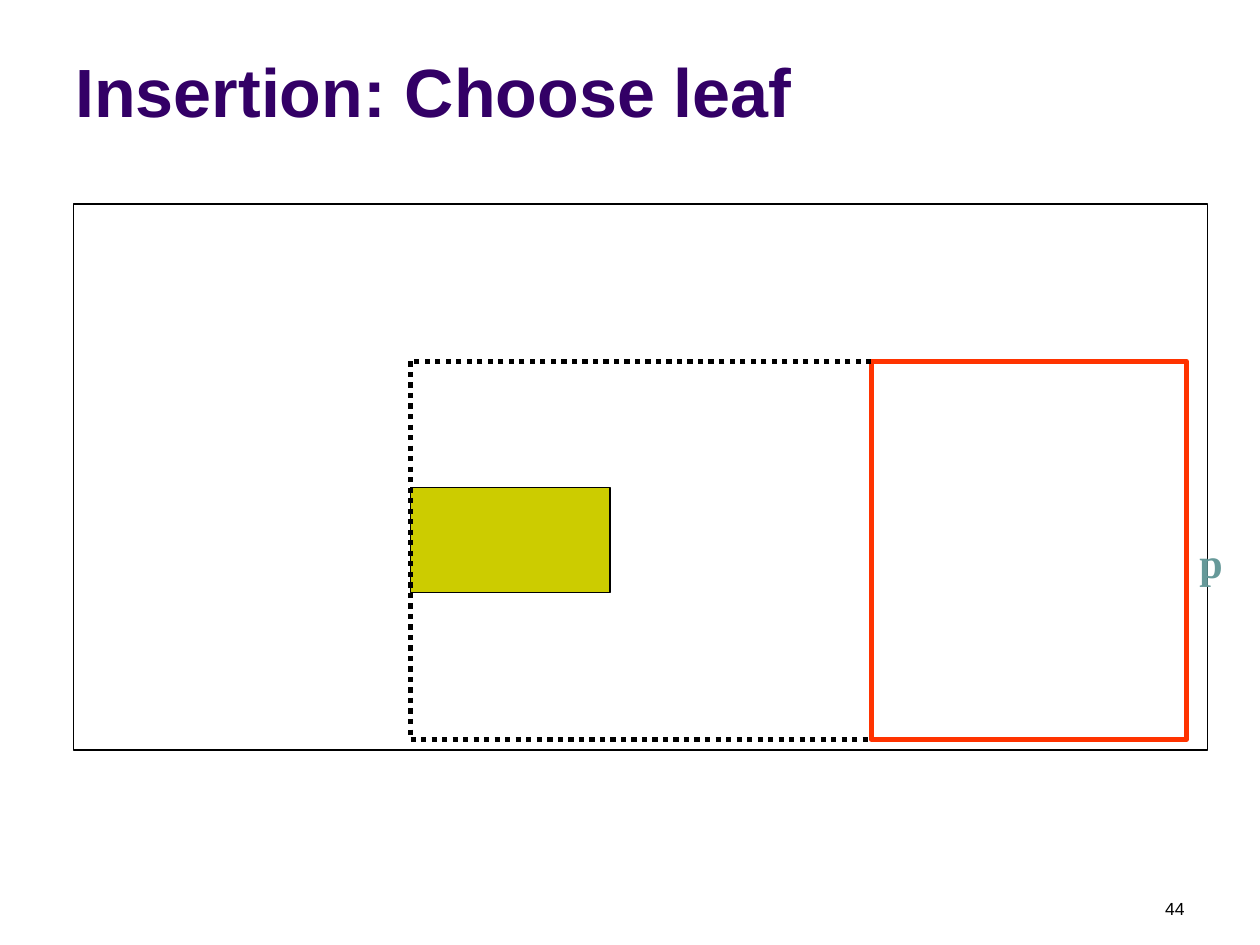
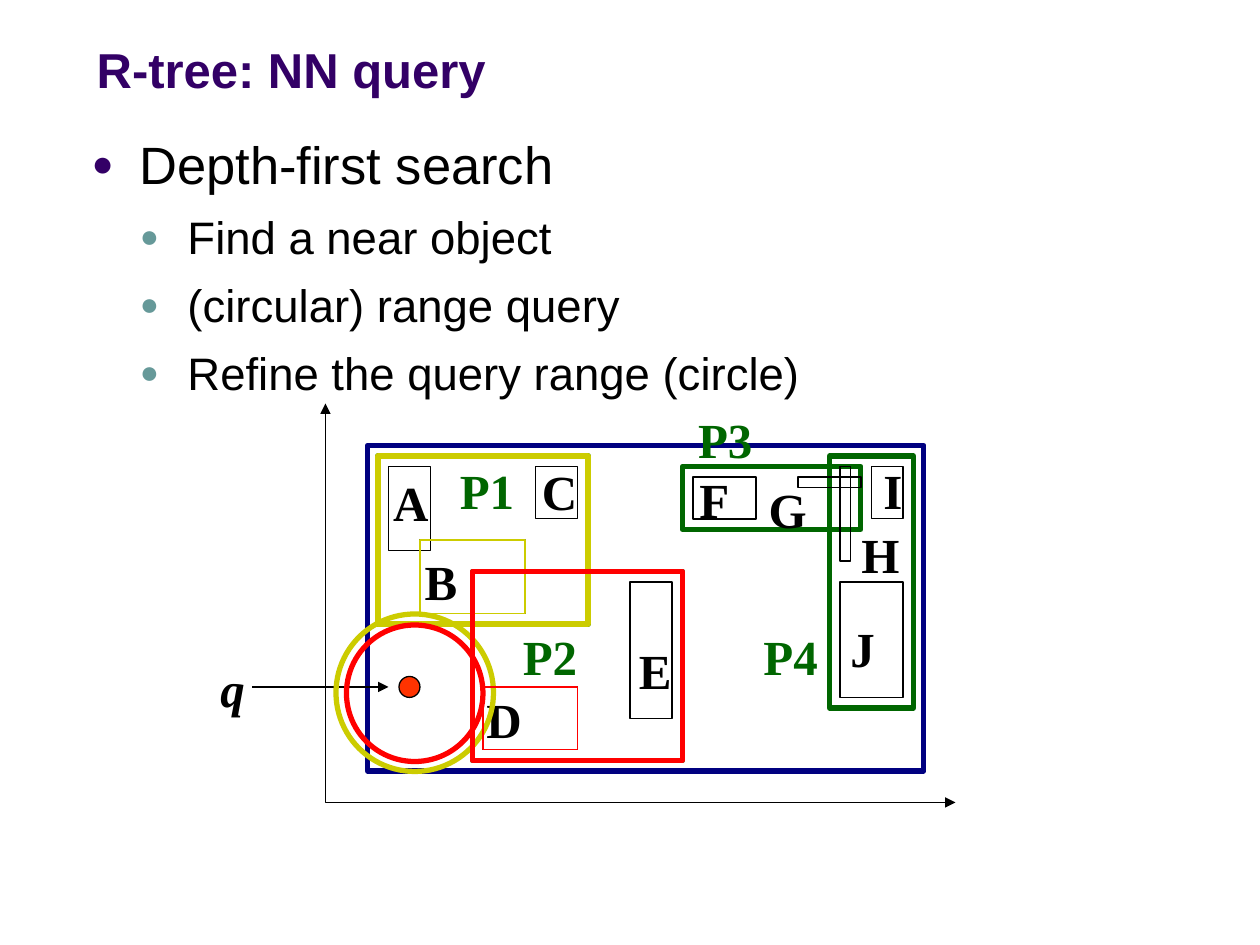
import pptx
import pptx.util
import pptx.dml.color
import pptx.enum.dml
import pptx.enum.shapes
import pptx.enum.text
import pptx.oxml.ns
import lxml.etree

Cm = pptx.util.Cm
Pt = pptx.util.Pt
RGBColor = pptx.dml.color.RGBColor
MSO_SHAPE = pptx.enum.shapes.MSO_SHAPE
ALIGN = pptx.enum.text.PP_ALIGN
ANCHOR = pptx.enum.text.MSO_ANCHOR
qn = pptx.oxml.ns.qn

# Shared colours, fonts and drawing grid
BLACK = RGBColor(0x00, 0x00, 0x00)
PURPLE = RGBColor(0x33, 0x00, 0x66)
TEAL = RGBColor(0x66, 0x99, 0x99)
ORANGE = RGBColor(0xFF, 0x33, 0x00)
OLIVE = RGBColor(0xCC, 0xCC, 0x00)
GREEN = RGBColor(0x00, 0x66, 0x00)
NAVY = RGBColor(0x00, 0x00, 0x80)
RED = RGBColor(0xFF, 0x00, 0x00)
SANS = "Arial"
SERIF = "Times New Roman"
STEP = 2.54 / 12  # one grid step in cm
DROP = 0.09  # top of the grid in cm
THIN, THICK = 0.75, 3


def draw(slide, kind, at, color, width, fill=None):
    """Draw an outlined shape; at is left, top, width, height in grid steps."""
    x, y, w, h = [n * STEP for n in at]
    shape = slide.shapes.add_shape(kind, Cm(x), Cm(y + DROP), Cm(w), Cm(h))
    shape.shadow.inherit = False
    shape.line.color.rgb = color
    shape.line.width = Pt(width)
    if fill is None:
        shape.fill.background()
    else:
        shape.fill.solid()
        shape.fill.fore_color.rgb = fill


def write(slide, lines, at, size, face, color, bold=True, italic=False,
          align=ALIGN.LEFT, anchor=ANCHOR.TOP, wrap=True):
    """Add a text box; at is left, top, width, height in cm."""
    frame = slide.shapes.add_textbox(*[Cm(n) for n in at]).text_frame
    frame.word_wrap = wrap
    frame.vertical_anchor = anchor
    for i, line in enumerate(lines):
        para = frame.add_paragraph() if i else frame.paragraphs[0]
        para.alignment = align
        run = para.add_run()
        run.text = line
        run.font.size = Pt(size)
        run.font.name = face
        run.font.bold = bold
        run.font.italic = italic
        run.font.color.rgb = color
    return frame


deck = pptx.Presentation()
deck.slide_width = Cm(25.4)
deck.slide_height = Cm(19.05)
blank = deck.slide_layouts[6]
leaf = deck.slides.add_slide(blank)
query = deck.slides.add_slide(blank)

# Titles
titles = [
    (leaf, "Insertion: Choose leaf", (1.27, 0.36, 22.86, 2.41), 39),
    (query, "R-tree: NN query", (1.7, 0.84, 20.95, 1.27), 28),
]
for slide, text, at, size in titles:
    write(slide, [text], at, size, SANS, PURPLE, anchor=ANCHOR.BOTTOM)

# Choose leaf: frame, candidate node and new entry
draw(leaf, MSO_SHAPE.RECTANGLE, (7, 19, 108, 52), BLACK, THIN)
write(leaf, ["p"], (23.93, 10.69, 0.8, 1.27), 24, SERIF, TEAL, wrap=False)
draw(leaf, MSO_SHAPE.RECTANGLE, (83, 34, 30, 36), ORANGE, THICK)
draw(leaf, MSO_SHAPE.RECTANGLE, (39.1, 46, 19, 10), BLACK, THIN, OLIVE)
write(leaf, ["44"], (18.21, 17.98, 5.92, 0.64), 10, SANS, BLACK, bold=False,
      align=ALIGN.RIGHT)

# NN query: bullet list
frame = write(query, ["Depth-first search", "Find a near object",
                      "(circular) range query",
                      "Refine the query range (circle)"],
              (1.6, 2.54, 22.86, 7.6), 26, SANS, BLACK, bold=False)
for i, para in enumerate(frame.paragraphs):
    if i:
        para.level = 1
        para.space_before = Pt(7.8)
    else:
        para.runs[0].font.size = Pt(30)
    props = para._p.get_or_add_pPr()
    props.set("marL", str(Cm(1.93 if i else 0.96)))
    props.set("indent", str(-Cm(0.96)))
    tint = lxml.etree.SubElement(props, qn("a:buClr"))
    lxml.etree.SubElement(tint, qn("a:srgbClr"), val=str(TEAL if i else PURPLE))
    lxml.etree.SubElement(props, qn("a:buSzPct"), val="70000")
    lxml.etree.SubElement(props, qn("a:buFont"), typeface=SANS)
    lxml.etree.SubElement(props, qn("a:buChar"), char="●")

# NN query: nodes, objects and root
nodes = [(36, 43, 20, 16), (79, 43, 8, 24), (45, 54, 20, 18), (65, 44, 17, 6)]
items = [
    (37, 44, 4, 8), (51, 44, 4, 5), (40, 51, 10, 7), (46, 65, 9, 6),
    (60, 55, 4, 13), (66, 45, 6, 4), (80, 55, 6, 11), (83, 44, 3, 5),
    (76, 45, 7 - 1, 1), (80, 44, 1, 9),
]
root = (35, 42, 53, 31)
for group, color, width in [(nodes, GREEN, THICK), (items, BLACK, THIN),
                            ([root], NAVY, THICK)]:
    for at in group:
        draw(query, MSO_SHAPE.RECTANGLE, at, color, width)

# NN query: axes
pen = query.shapes.build_freeform(31, 38, scale=Cm(STEP))
pen.add_line_segments([(31, 76), (91, 76)], close=False)
axes = pen.convert_to_shape(0, Cm(DROP))
axes.shadow.inherit = False
axes.fill.background()
axes.line.color.rgb = BLACK
axes.line.width = Pt(0.25)
for end in ("a:headEnd", "a:tailEnd"):
    lxml.etree.SubElement(axes.line._get_or_add_ln(), qn(end), type="triangle")

# Dotted enlargement of the node, and the arrow from q
links = [
    (leaf, 83, 34, 39.1, 34),
    (leaf, 39.1, 34, 39.1, 70),
    (leaf, 39.1, 70, 83, 70),
    (query, 24, 65, 37, 65),
]
for slide, x1, y1, x2, y2 in links:
    link = slide.shapes.add_connector(
        pptx.enum.shapes.MSO_CONNECTOR.STRAIGHT,
        Cm(x1 * STEP), Cm(y1 * STEP + DROP),
        Cm(x2 * STEP), Cm(y2 * STEP + DROP))
    link.line.color.rgb = BLACK
    if slide is leaf:
        link.line.width = Pt(THICK)
        link.line.dash_style = pptx.enum.dml.MSO_LINE.ROUND_DOT
    else:
        link.line.width = Pt(THIN)
        lxml.etree.SubElement(link.line._get_or_add_ln(), qn("a:tailEnd"),
                              type="triangle")
    lxml.etree.SubElement(link._element.spPr, qn("a:effectLst"))

# NN query: labels by centre in cm
labels = [
    ("A", 8.28, 10.12), ("B", 8.89, 11.72), ("C", 11.28, 9.89),
    ("D", 10.16, 14.49), ("E", 13.21, 13.5), ("F", 14.4, 10.05),
    ("G", 15.88, 10.25), ("H", 17.75, 11.16), ("I", 18, 9.87),
    ("J", 17.39, 13.07), ("P1", 9.82, 9.87), ("P2", 11.09, 13.22),
    ("P3", 14.62, 8.85), ("P4", 15.94, 13.22), ("q", 4.69, 13.86),
]
for text, x, y in labels:
    write(query, [text], (x - 0.8, y - 0.72, 1.6, 1.44), 28, SERIF,
          GREEN if text[0] == "P" else BLACK, italic=text == "q",
          align=ALIGN.CENTER, anchor=ANCHOR.MIDDLE, wrap=False)

# NN query: query point and the two search steps
draw(query, MSO_SHAPE.OVAL, (38, 64, 2, 2), BLACK, THIN, ORANGE)
steps = [
    (OLIVE, nodes[0], (32, 58.05, 15, 15), items[2]),
    (RED, nodes[2], (33, 59.1, 13, 13), items[3]),
]
for color, node, ring, item in steps:
    draw(query, MSO_SHAPE.RECTANGLE, node, color, THICK)
    draw(query, MSO_SHAPE.OVAL, ring, color, THICK)
    draw(query, MSO_SHAPE.RECTANGLE, item, color, THIN)

deck.save("out.pptx")
